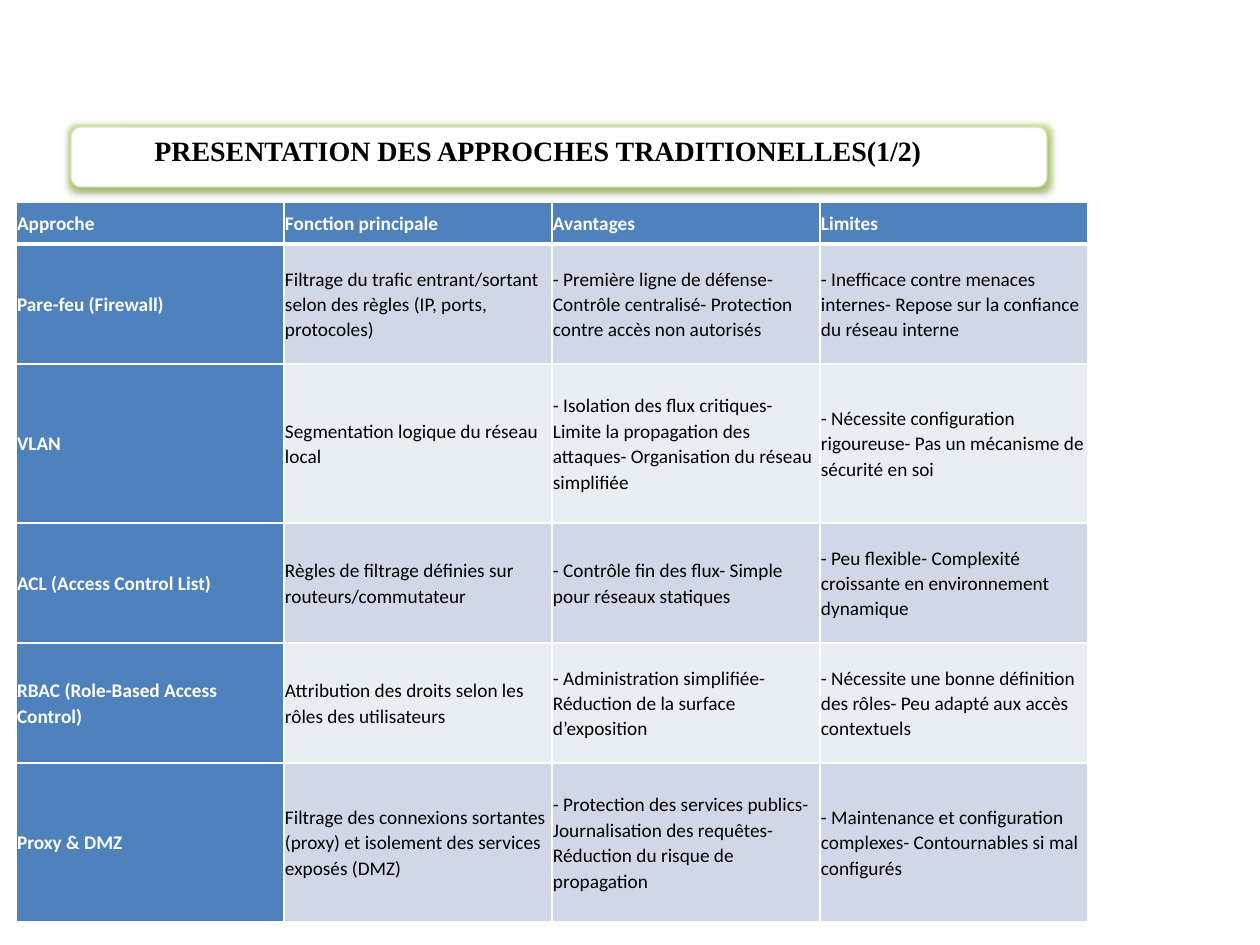
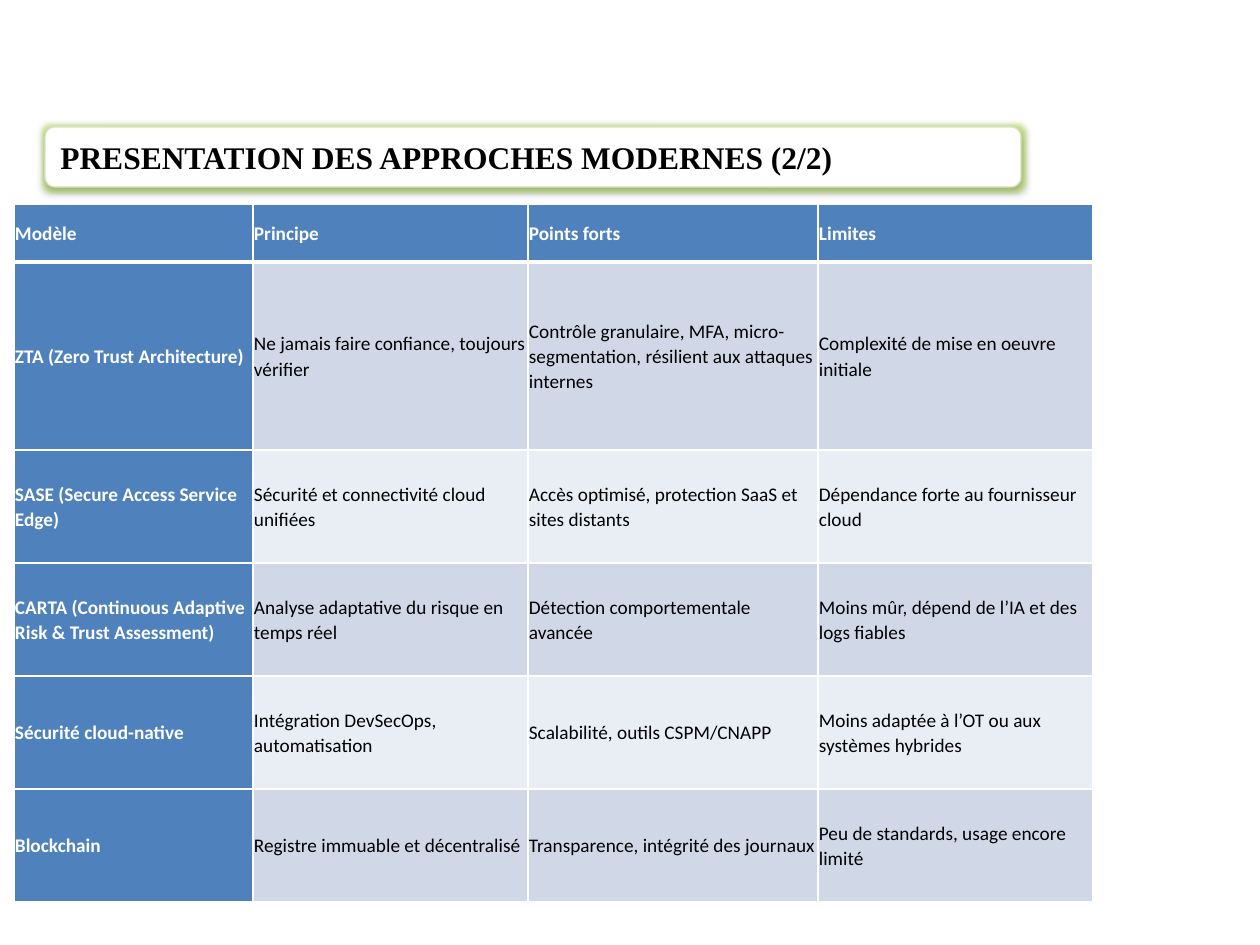
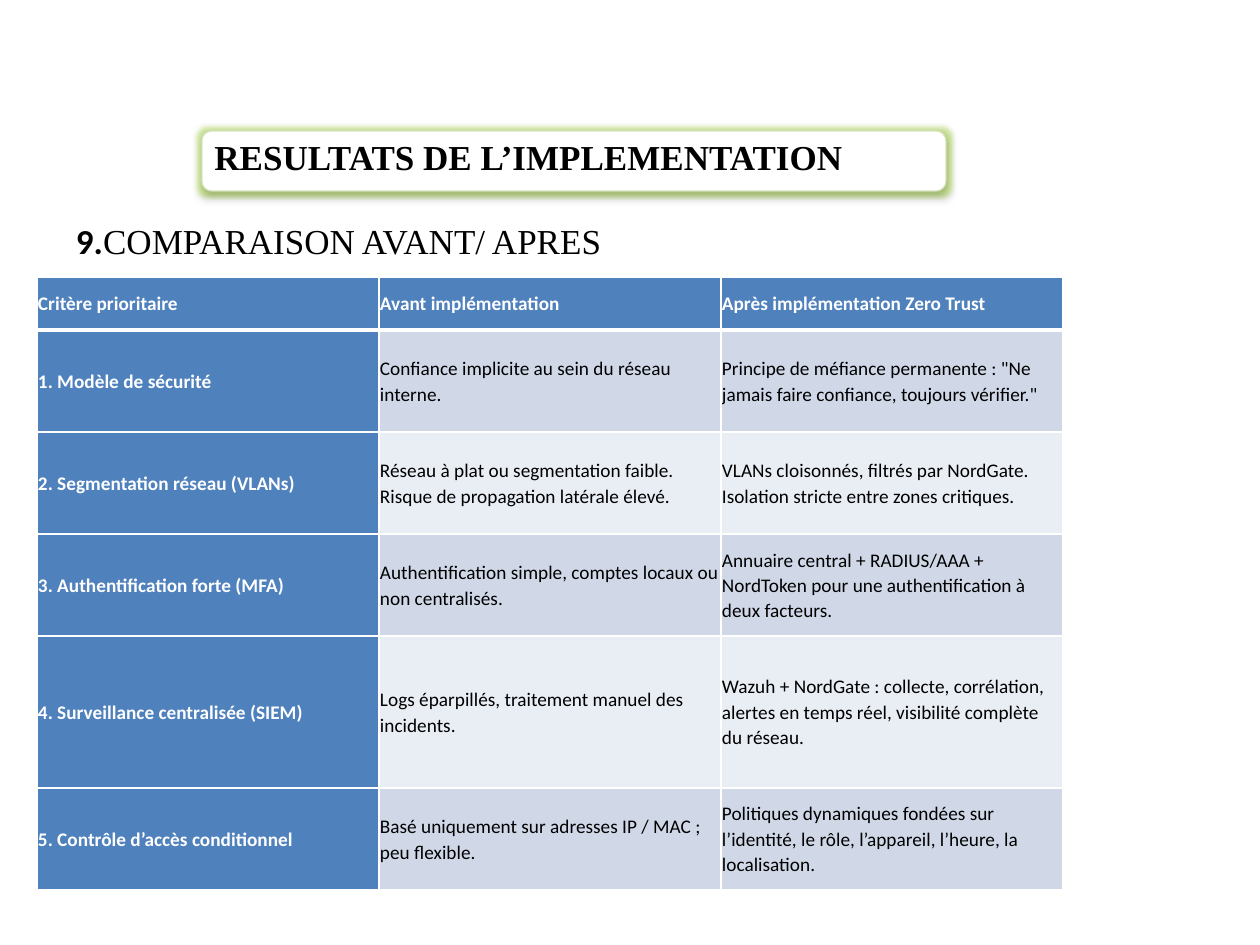
from dataclasses import dataclass

from lxml import etree
from pptx import Presentation
from pptx.dml.color import RGBColor
from pptx.enum.shapes import MSO_SHAPE
from pptx.enum.text import MSO_ANCHOR, PP_ALIGN
from pptx.oxml import parse_xml
from pptx.oxml.ns import nsdecls, qn
from pptx.util import Pt

EMU_PER_PX = 914400 / 126
SLIDE_SIZE = (1260, 945)


@dataclass(frozen=True)
class Theme:
    ink: str = "000000"
    paper: str = "FFFFFF"
    accent: str = "4F81BD"
    odd_row: str = "D0D8E8"
    even_row: str = "E9EDF4"
    band_line: str = "D7E4BD"
    band_glow: str = "A8E034"
    title_font: str = "Times New Roman"
    body_font: str = "Calibri"
    cell_size: int = 11
    small_title: int = 16
    medium_title: int = 18
    large_title: int = 20


THEME = Theme()

TRADITIONAL = [
    ["Approche", "Fonction principale", "Avantages", "Limites"],
    ["Pare-feu (Firewall)",
     "Filtrage du trafic entrant/sortant selon des règles (IP, ports, protocoles)",
     "- Première ligne de défense- Contrôle centralisé- Protection contre accès non autorisés",
     "- Inefficace contre menaces internes- Repose sur la confiance du réseau interne"],
    ["VLAN",
     "Segmentation logique du réseau local",
     "- Isolation des flux critiques- Limite la propagation des attaques- "
     "Organisation du réseau simplifiée",
     "- Nécessite configuration rigoureuse- Pas un mécanisme de sécurité en soi"],
    ["ACL (Access Control List)",
     "Règles de filtrage définies sur routeurs/commutateur",
     "- Contrôle fin des flux- Simple pour réseaux statiques",
     "- Peu flexible- Complexité croissante en environnement dynamique"],
    ["RBAC (Role-Based Access Control)",
     "Attribution des droits selon les rôles des utilisateurs",
     "- Administration simplifiée- Réduction de la surface d’exposition",
     "- Nécessite une bonne définition des rôles- Peu adapté aux accès contextuels"],
    ["Proxy & DMZ",
     "Filtrage des connexions sortantes (proxy) et isolement des services exposés (DMZ)",
     "- Protection des services publics- Journalisation des requêtes- "
     "Réduction du risque de propagation",
     "- Maintenance et configuration complexes- Contournables si mal configurés"],
]

MODERN = [
    ["Modèle", "Principe", "Points forts", "Limites"],
    ["ZTA (Zero Trust Architecture)",
     "Ne jamais faire confiance, toujours vérifier",
     "Contrôle granulaire, MFA, micro-segmentation, résilient aux attaques internes",
     "Complexité de mise en oeuvre initiale"],
    ["SASE (Secure Access Service Edge)",
     "Sécurité et connectivité cloud unifiées",
     "Accès optimisé, protection SaaS et sites distants",
     "Dépendance forte au fournisseur cloud"],
    ["CARTA (Continuous Adaptive Risk & Trust Assessment)",
     "Analyse adaptative du risque en temps réel",
     "Détection comportementale avancée",
     "Moins mûr, dépend de l’IA et des logs fiables"],
    ["Sécurité cloud-native",
     "Intégration DevSecOps, automatisation",
     "Scalabilité, outils CSPM/CNAPP",
     "Moins adaptée à l’OT ou aux systèmes hybrides"],
    ["Blockchain",
     "Registre immuable et décentralisé",
     "Transparence, intégrité des journaux",
     "Peu de standards, usage encore limité"],
]

BEFORE_AFTER = [
    ["Critère prioritaire", "Avant implémentation", "Après implémentation Zero Trust"],
    ["1. Modèle de sécurité",
     "Confiance implicite au sein du réseau interne.",
     'Principe de méfiance permanente : "Ne jamais faire confiance, toujours vérifier."'],
    ["2. Segmentation réseau (VLANs)",
     "Réseau à plat ou segmentation faible. Risque de propagation latérale élevé.",
     "VLANs cloisonnés, filtrés par NordGate. Isolation stricte entre zones critiques."],
    ["3. Authentification forte (MFA)",
     "Authentification simple, comptes locaux ou non centralisés.",
     "Annuaire central + RADIUS/AAA + NordToken pour une authentification à deux facteurs."],
    ["4. Surveillance centralisée (SIEM)",
     "Logs éparpillés, traitement manuel des incidents.",
     "Wazuh + NordGate : collecte, corrélation, alertes en temps réel, "
     "visibilité complète du réseau."],
    ["5. Contrôle d’accès conditionnel",
     "Basé uniquement sur adresses IP / MAC ; peu flexible.",
     "Politiques dynamiques fondées sur l’identité, le rôle, l’appareil, l’heure, "
     "la localisation."],
]


def px(length):
    return round(length * EMU_PER_PX)


def place(box):
    return [px(length) for length in box]


def style_font(font, size, name, color=THEME.ink, bold=False):
    font.size, font.name, font.bold = Pt(size), name, bold
    font.color.rgb = RGBColor.from_string(color)


def write_title(frame, title, size):
    frame.word_wrap = True
    frame.text = title
    line = frame.paragraphs[0]
    line.alignment = PP_ALIGN.LEFT
    style_font(line.runs[0].font, size, THEME.title_font, bold=True)


def add_title_band(slide, box):
    """Add the white rounded band with its green glow and soft shadow."""
    band = slide.shapes.add_shape(MSO_SHAPE.ROUNDED_RECTANGLE, *place(box))
    band.fill.solid()
    band.fill.fore_color.rgb = RGBColor.from_string(THEME.paper)
    band.line.color.rgb = RGBColor.from_string(THEME.band_line)
    band.line.width = Pt(0.75)
    band.shadow.inherit = False
    effects = band.element.spPr.find(qn("a:effectLst"))
    glow = etree.SubElement(effects, qn("a:glow"), rad="63500")
    shade = etree.SubElement(effects, qn("a:outerShdw"), blurRad="40000",
                             dist="20000", dir="5400000", rotWithShape="0")
    for effect, color, alpha in ((glow, THEME.band_glow, "40000"),
                                 (shade, THEME.ink, "38000")):
        tint = etree.SubElement(effect, qn("a:srgbClr"), val=color)
        etree.SubElement(tint, qn("a:alpha"), val=alpha)
    return band


def add_title(slide, box, title, size):
    write_title(slide.shapes.add_textbox(*place(box)).text_frame, title, size)


def add_section_heading(slide, box, number, heading):
    frame = slide.shapes.add_textbox(*place(box)).text_frame
    frame.word_wrap = True
    frame.margin_left = px(76)
    line = frame.paragraphs[0]
    for words, font_name, bold in ((number, THEME.body_font, True),
                                   (heading, THEME.title_font, False)):
        run = line.add_run()
        run.text = words
        style_font(run.font, THEME.large_title, font_name, bold=bold)


def add_borders(cell, **widths):
    """Put white borders, given in points by side, ahead of the cell's fill."""
    properties = cell._tc.get_or_add_tcPr()
    for position, (side, width) in enumerate(widths.items()):
        properties.insert(position, parse_xml(
            f'<a:ln{side} {nsdecls("a")} w="{Pt(width)}"><a:solidFill>'
            f'<a:srgbClr val="{THEME.paper}"/></a:solidFill></a:ln{side}>'))


def fill_cell(cell, words, row, column):
    is_heading = row == 0 or column == 0
    background = THEME.odd_row if row % 2 else THEME.even_row
    cell.fill.solid()
    cell.fill.fore_color.rgb = RGBColor.from_string(
        THEME.accent if is_heading else background)
    add_borders(cell, L=1, R=1, T=3 if row == 1 else 1, B=3 if row == 0 else 1)
    cell.margin_left = cell.margin_right = px(1)
    cell.margin_top = cell.margin_bottom = px(1)
    cell.vertical_anchor = MSO_ANCHOR.MIDDLE
    cell.text = words
    line = cell.text_frame.paragraphs[0]
    line.line_spacing, line.space_after = 1.07, Pt(8)
    style_font(line.runs[0].font, THEME.cell_size, THEME.body_font,
               THEME.paper if is_heading else THEME.ink, is_heading)


def add_comparison(slide, corner, widths, heights, entries):
    box = (*corner, sum(widths), sum(heights))
    table = slide.shapes.add_table(len(heights), len(widths), *place(box)).table
    table.horz_banding = False
    for column, width in zip(table.columns, widths):
        column.width = px(width)
    for row, height in zip(table.rows, heights):
        row.height = px(height)
    for row, line in enumerate(entries):
        for column, words in enumerate(line):
            fill_cell(table.cell(row, column), words, row, column)


def build_traditional(slide):
    add_title_band(slide, (71, 127, 976, 60))
    add_title(slide, (142, 127, 1074, 89),
              "PRESENTATION DES APPROCHES TRADITIONELLES(1/2)", THEME.small_title)
    add_comparison(slide, (16, 202), [268] * 4,
                   [42, 120, 159, 120, 120, 159], TRADITIONAL)


def build_modern(slide):
    band = add_title_band(slide, (45, 127, 976, 60))
    write_title(band.text_frame, "PRESENTATION DES APPROCHES MODERNES (2/2)",
                THEME.medium_title)
    add_comparison(slide, (14, 204), [239, 275, 290, 275],
                   [58, 188] + [113] * 4, MODERN)


def build_results(slide):
    add_section_heading(slide, (0, 213, 1109, 694), "9.", "COMPARAISON AVANT/ APRES")
    add_title_band(slide, (202, 131, 744, 60))
    add_title(slide, (202, 129, 758, 55), "RESULTATS DE L’IMPLEMENTATION",
              THEME.large_title)
    add_comparison(slide, (37, 277), [342] * 3,
                   [53, 102, 102, 102, 152, 102], BEFORE_AFTER)


def main():
    deck = Presentation()
    deck.slide_width, deck.slide_height = place(SLIDE_SIZE)
    blank = deck.slide_layouts[6]
    for build in (build_traditional, build_modern, build_results):
        build(deck.slides.add_slide(blank))
    deck.save("out.pptx")


if __name__ == "__main__":
    main()
